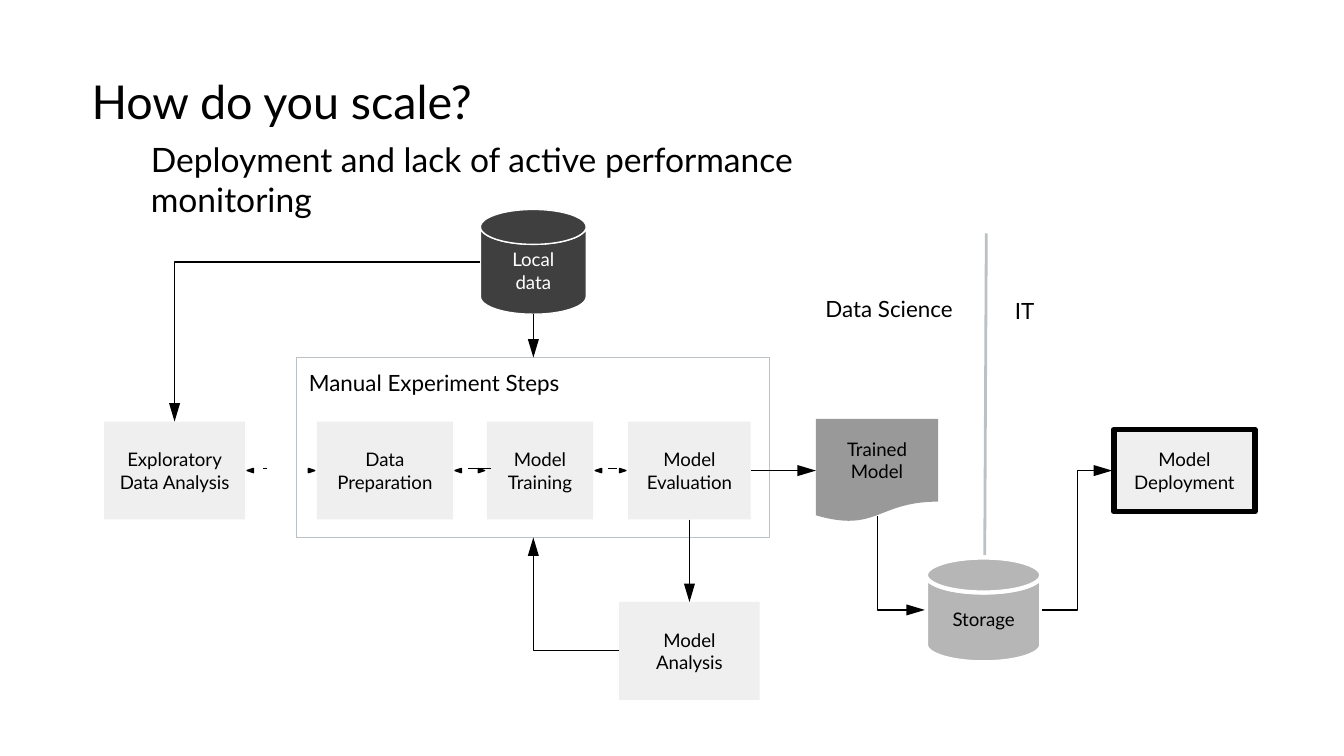
from lxml import etree
from pptx import Presentation
from pptx.dml.color import RGBColor
from pptx.enum.shapes import MSO_CONNECTOR, MSO_SHAPE
from pptx.enum.text import MSO_ANCHOR, MSO_AUTO_SIZE, PP_ALIGN
from pptx.oxml.ns import qn
from pptx.util import Cm, Pt

STRAIGHT = MSO_CONNECTOR.STRAIGHT
RECTANGLE, CAN, OVAL = MSO_SHAPE.RECTANGLE, MSO_SHAPE.CAN, MSO_SHAPE.OVAL
DOCUMENT = MSO_SHAPE.FLOWCHART_DOCUMENT
TOP, MIDDLE = MSO_ANCHOR.TOP, MSO_ANCHOR.MIDDLE
LEFT, CENTER = PP_ALIGN.LEFT, PP_ALIGN.CENTER
NO_AUTOSIZE = MSO_AUTO_SIZE.NONE
SIDE_TOP, SIDE_LEFT, SIDE_BOTTOM, SIDE_RIGHT = range(4)

COLORS = {
    "black": "000000",
    "white": "FFFFFF",
    "step": "EFEFEF",
    "rule": "BCC1C6",
    "data": "3F3F3F",
    "model": "999999",
    "storage": "B6B6B6",
}
ROW_TOP, ROW_HEIGHT = 7.97, 1.85
ROW_MIDDLE = ROW_TOP + ROW_HEIGHT / 2


def color(name):
    return RGBColor.from_string(COLORS[name])


class Diagram:
    """Holds the slide and the shared style of its elements."""

    font = "Lato"
    thin = 0.75

    def __init__(self, slide):
        self.slide = slide
        self.shapes = slide.shapes

    def style_frame(self, frame, align, anchor):
        frame.margin_left = frame.margin_right = 0
        frame.margin_top = frame.margin_bottom = 0
        frame.word_wrap = True
        frame.auto_size = NO_AUTOSIZE
        frame.vertical_anchor = anchor
        for para in frame.paragraphs:
            para.alignment = align

    def style_runs(self, para, size, ink="black"):
        for span in para.runs:
            span.font.name = self.font
            span.font.size = Pt(size)
            span.font.color.rgb = color(ink)

    def style_shape(self, shape, fill=None, line=None, width=thin):
        shape.shadow.inherit = False
        if fill:
            shape.fill.solid()
            shape.fill.fore_color.rgb = color(fill)
        else:
            shape.fill.background()
        if line:
            shape.line.color.rgb = color(line)
            shape.line.width = Pt(width)
        else:
            shape.line.fill.background()

    def title(self, heading, subheading):
        box = self.shapes.title
        box.left, box.top, box.width, box.height = Cm(1.73), Cm(1.37), Cm(16), Cm(2.1)
        frame = box.text_frame
        frame.text = f"{heading}\n{subheading}"
        self.style_frame(frame, LEFT, TOP)
        first, second = frame.paragraphs
        self.style_runs(first, 25)
        self.style_runs(second, 18)
        second.space_before = Pt(5.6)
        second._p.get_or_add_pPr().set("marL", str(Cm(1.12)))

    def label(self, text, left, top, width):
        box = self.shapes.add_textbox(Cm(left), Cm(top), Cm(width), Cm(0.58))
        box.text_frame.text = text
        self.style_frame(box.text_frame, LEFT, TOP)
        self.style_runs(box.text_frame.paragraphs[0], 12)

    def box(self, text, left, top, width, height, fill="step", line=None,
            line_width=thin, kind=RECTANGLE, ink="black"):
        shape = self.shapes.add_shape(kind, Cm(left), Cm(top), Cm(width), Cm(height))
        self.style_shape(shape, fill, line, line_width)
        if text:
            shape.text_frame.text = text
            self.style_frame(shape.text_frame, CENTER, MIDDLE)
            for para in shape.text_frame.paragraphs:
                self.style_runs(para, 10, ink)
        return shape

    def cylinder(self, text, left, top, width, fill, line_width, ink="black"):
        """Draw a can whose lid has the same colour as its body."""
        height = 1.98
        body = self.box(text, left, top, width, height, fill, "white", line_width, CAN, ink)
        body.adjustments[0] = 1 / 3
        self.box("", left, top, width, height / 3, fill, "white", line_width, OVAL)

    def add_arrowhead(self, shape):
        line = shape.element.spPr.find(qn("a:ln"))
        etree.SubElement(line, qn("a:tailEnd"), type="triangle", w="med", len="lg")

    def line(self, start, end, ink="black", width=thin):
        connector = self.shapes.add_connector(STRAIGHT, *map(Cm, start + end))
        connector.line.color.rgb = color(ink)
        connector.line.width = Pt(width)
        etree.SubElement(connector.element.spPr, qn("a:effectLst"))
        return connector

    def join(self, source, source_side, target, target_side):
        connector = self.line((0, 0), (0, 0))
        connector.begin_connect(source, source_side)
        connector.end_connect(target, target_side)
        self.add_arrowhead(connector)

    def outline(self, points, close):
        start, *rest = [(Cm(x), Cm(y)) for x, y in points]
        builder = self.shapes.build_freeform(*start)
        builder.add_line_segments(rest, close=close)
        return builder.convert_to_shape()

    def bent_arrow(self, *points):
        shape = self.outline(points, close=False)
        self.style_shape(shape, line="black")
        self.add_arrowhead(shape)

    def two_way_link(self, left, right, dash_start, dash_end):
        """Draw facing-out arrowheads at both ends of a gap, and a dash between."""
        for tip, step in ((left + 0.04, 0.12), (right - 0.04, -0.12)):
            points = [(tip, ROW_MIDDLE), (tip + step, ROW_MIDDLE - 0.04),
                      (tip + step, ROW_MIDDLE + 0.04)]
            self.style_shape(self.outline(points, close=True), "black", "black")
        self.line((dash_start, 8.85), (dash_end, 8.85))


def main():
    deck = Presentation()
    deck.slide_width, deck.slide_height = Cm(25.4), Cm(14.29)
    diagram = Diagram(deck.slides.add_slide(deck.slide_layouts[5]))
    diagram.title("How do you scale?",
                  "Deployment and lack of active performance monitoring")

    experiment = diagram.box("", 5.61, 6.76, 8.94, 3.4, None, "rule")
    diagram.label("Manual Experiment Steps", 5.84, 6.98, 5.2)
    diagram.label("Data Science", 15.6, 5.58, 2.8)
    diagram.label("IT", 19.18, 5.61, 0.8)
    diagram.line((18.64, 4.41), (18.61, 10.5), "rule", 1.5)

    steps = [
        ("Exploratory\nData Analysis", 1.97, 2.66),
        ("Data\nPreparation", 5.99, 2.57),
        ("Model\nTraining", 9.2, 2.01),
        ("Model\nEvaluation", 11.87, 2.32),
    ]
    boxes = [diagram.box(text, left, ROW_TOP, width, ROW_HEIGHT)
             for text, left, width in steps]
    evaluation = boxes[-1]
    dashes = [(4.97, 5.05), (8.85, 9.28), (11.49, 11.66)]
    for (_, left, width), (_, next_left, _), dash in zip(steps, steps[1:], dashes):
        diagram.two_way_link(left + width, next_left, *dash)

    analysis = diagram.box("Model\nAnalysis", 11.7, 11.38, 2.66, ROW_HEIGHT)
    trained = diagram.box("Trained\nModel", 15.42, 7.92, 2.31, 1.95, "model", kind=DOCUMENT)
    diagram.box("Model\nDeployment", 21.05, 8.12, 2.67, 1.55, line="black", line_width=3)
    diagram.cylinder("Local\ndata", 9.08, 3.96, 2, "data", 0.75, "white")
    diagram.cylinder("Storage", 17.5, 10.54, 2.18, "storage", 2.25)

    diagram.join(evaluation, SIDE_RIGHT, trained, SIDE_LEFT)
    diagram.join(evaluation, SIDE_BOTTOM, analysis, SIDE_TOP)
    data_feed = diagram.line((10.08, 5.94), (10.08, 6.76))
    data_feed.end_connect(experiment, SIDE_TOP)
    diagram.add_arrowhead(data_feed)
    diagram.bent_arrow((9.08, 4.95), (3.3, 4.95), (3.3, ROW_TOP))
    diagram.bent_arrow((11.7, 12.3), (10.08, 12.3), (10.08, 10.16))
    diagram.bent_arrow((16.58, 9.75), (16.58, 11.53), (17.48, 11.53))
    diagram.bent_arrow((19.69, 11.53), (20.37, 11.53), (20.37, ROW_MIDDLE),
                       (21.02, ROW_MIDDLE))
    deck.save("out.pptx")


if __name__ == "__main__":
    main()
